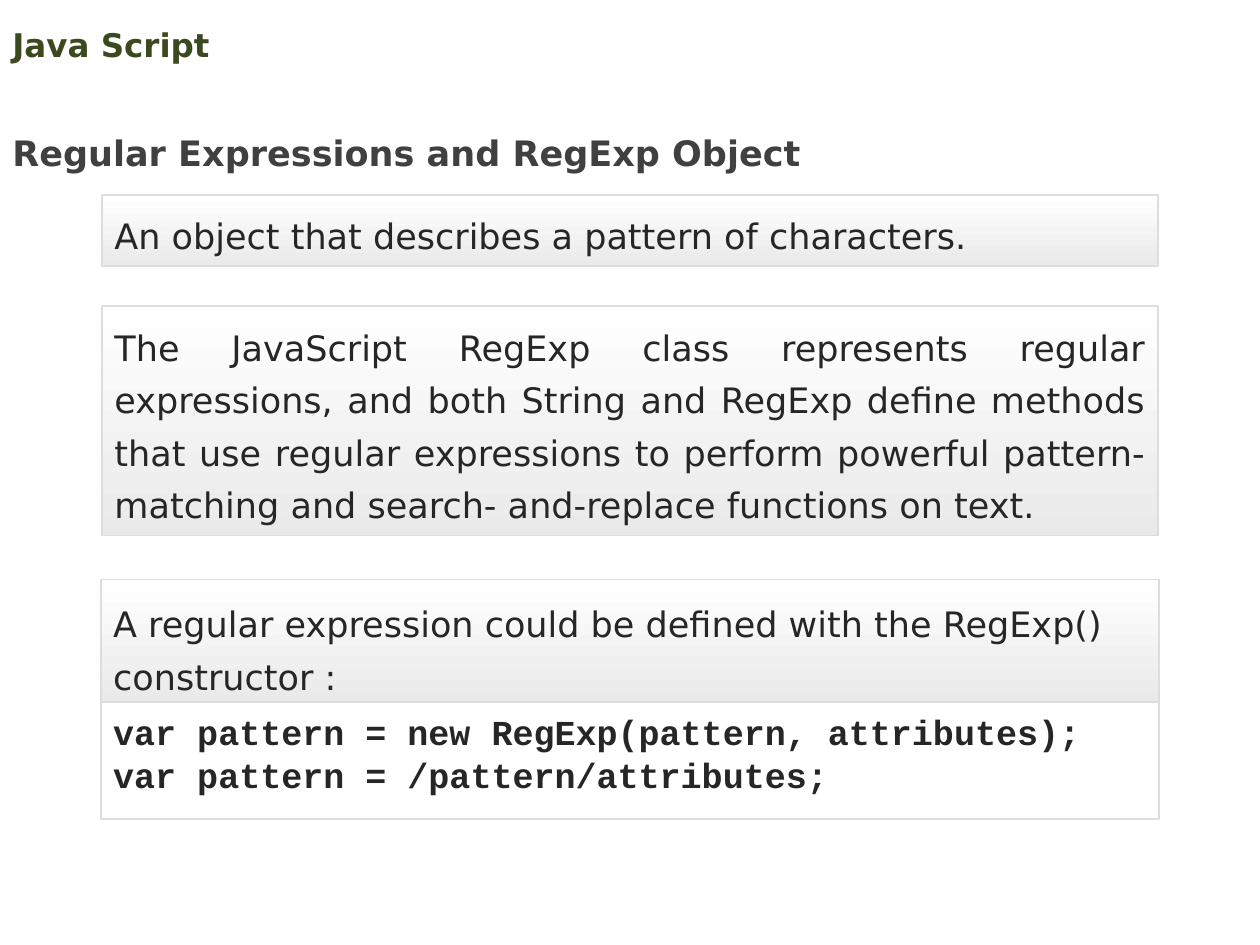
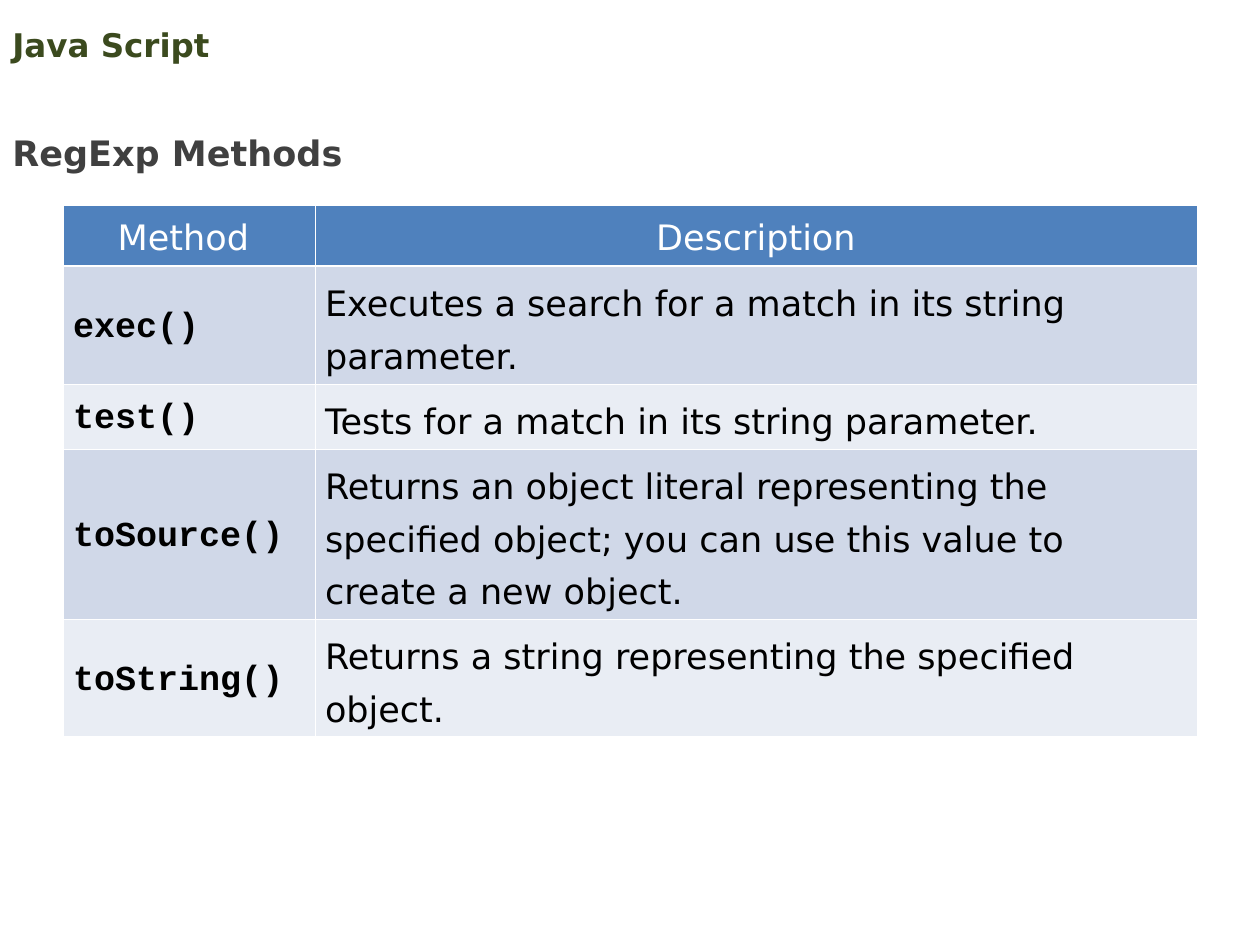
from dataclasses import dataclass

from lxml import etree
from pptx import Presentation, util as u
from pptx.dml.color import RGBColor
from pptx.enum import shapes, text
from pptx.oxml import ns

SANS, MONO = "DejaVu Sans", "Courier New"
GREEN, GREY, INK, BLACK, WHITE = "3B4A1E", "404040", "262626", "000000", "FFFFFF"
PANEL_END, PANEL_LINE = "EAEAEA", "DDDDDD"
HEADER_FILL, BAND_FILLS = "4F81BD", ("D0D8E8", "E9EDF4")
COLUMN = ROW = u.Inches(0.1)
BODY_SIZE, BODY_SPACING, CODE_SPACING = 20, u.Pt(30), u.Pt(25)
LEFT, CENTER, JUSTIFY = text.PP_ALIGN.LEFT, text.PP_ALIGN.CENTER, text.PP_ALIGN.JUSTIFY
TOP, MIDDLE = text.MSO_ANCHOR.TOP, text.MSO_ANCHOR.MIDDLE

METHODS = [
    ("exec()", "Executes a search for a match in its string parameter."),
    ("test()", "Tests for a match in its string parameter."),
    ("toSource()", "Returns an object literal representing the specified object; "
                   "you can use this value to create a new object."),
    ("toString()", "Returns a string representing the specified object."),
]
METHOD_ROWS = (4.1, 8.3, 4.2, 12.5, 8.3)


@dataclass
class Box:
    left: float
    top: float
    width: float
    height: float

    def inner(self, left, top, width, height):
        return Box(self.left + left, self.top + top, width, height)

    def lengths(self):
        return (int(self.left * COLUMN), int(self.top * ROW),
                int(self.width * COLUMN), int(self.height * ROW))


PAGE = Box(0, 0, 100, 75)


def color(value):
    return RGBColor.from_string(value)


def write(frame, lines, ink, font=SANS, size=BODY_SIZE, bold=False, align=LEFT, spacing=1.0):
    for index, line in enumerate(lines):
        paragraph = frame.add_paragraph() if index else frame.paragraphs[0]
        paragraph.text = line
        paragraph.alignment = align
        paragraph.line_spacing = spacing
        paragraph.font.name = font
        paragraph.font.size = u.Pt(size)
        paragraph.font.bold = bold
        paragraph.font.color.rgb = color(ink)


def add_heading(slide, box, line, ink, anchor=TOP, **style):
    frame = slide.shapes.add_textbox(*box.lengths()).text_frame
    frame.word_wrap = True
    frame.vertical_anchor = anchor
    write(frame, [line], ink, bold=True, **style)


def add_panel(slide, box, lines, shaded=True, anchor=MIDDLE, **style):
    panel = slide.shapes.add_shape(shapes.MSO_SHAPE.RECTANGLE, *box.lengths())
    panel.shadow.inherit = False
    panel.line.color.rgb = color(PANEL_LINE)
    panel.line.width = u.Pt(1)
    if shaded:
        panel.fill.gradient()
        panel.fill.gradient_angle = 270
        for stop, value in zip(panel.fill.gradient_stops, (WHITE, PANEL_END)):
            stop.color.rgb = color(value)
    else:
        panel.fill.background()
    frame = panel.text_frame
    frame.word_wrap = True
    frame.vertical_anchor = anchor
    frame.margin_left = frame.margin_right = frame.margin_top = frame.margin_bottom = COLUMN
    write(frame, lines, INK, **style)


def add_borders(cell, top=0.45, bottom=0.45):
    properties = cell._tc.get_or_add_tcPr()
    widths = {"a:lnL": 0.45, "a:lnR": 0.45, "a:lnT": top, "a:lnB": bottom}
    for position, (tag, width) in enumerate(widths.items()):
        line = etree.Element(ns.qn(tag), w=str(int(u.Pt(width))))
        fill = etree.SubElement(line, ns.qn("a:solidFill"))
        etree.SubElement(fill, ns.qn("a:srgbClr"), val=WHITE)
        properties.insert(position, line)


def fill_cell(cell, line, fill, ink, anchor=MIDDLE, **style):
    cell.fill.solid()
    cell.fill.fore_color.rgb = color(fill)
    cell.vertical_anchor = anchor
    cell.margin_left = cell.margin_right = u.Inches(0.08)
    cell.margin_top = cell.margin_bottom = u.Inches(0.05)
    write(cell.text_frame, [line], ink, **style)


def add_method_table(slide, box):
    table = slide.shapes.add_table(len(METHOD_ROWS), 2, *box.lengths()).table
    for column, share in zip(table.columns, (2 / 9, 7 / 9)):
        column.width = int(box.width * share * COLUMN)
    for row, height in zip(table.rows, METHOD_ROWS):
        row.height = int(height * ROW)
    for column, label in enumerate(("Method ", "Description")):
        cell = table.cell(0, column)
        fill_cell(cell, label, HEADER_FILL, WHITE, anchor=TOP, align=CENTER, spacing=1.15)
        add_borders(cell, bottom=1.47)
    for index, (method, description) in enumerate(METHODS, 1):
        fill = BAND_FILLS[(index - 1) % 2]
        name_cell, description_cell = table.cell(index, 0), table.cell(index, 1)
        fill_cell(name_cell, method, fill, BLACK, font=MONO, bold=True, spacing=1.15)
        fill_cell(description_cell, description, fill, BLACK, spacing=BODY_SPACING)
        for cell in (name_cell, description_cell):
            add_borders(cell, top=1.47 if index == 1 else 0.45)


def add_titled_slide(presentation, title):
    slide = presentation.slides.add_slide(presentation.slide_layouts[6])
    add_heading(slide, PAGE.inner(0, 1.4, 90, 4.3), "Java Script", GREEN, anchor=MIDDLE, size=18.6)
    add_heading(slide, PAGE.inner(0, 8.3, 84.4, 6), title, GREY, spacing=1.5)
    return slide


def add_constructor_example(slide, box):
    add_panel(slide, box.inner(0, 8.4, box.width, 10.6),
              ["var pattern = new RegExp(pattern, attributes);", "var pattern = /pattern/attributes;"],
              shaded=False, font=MONO, bold=True, align=JUSTIFY, spacing=CODE_SPACING)
    add_panel(slide, box.inner(0, 0, box.width, 9.7),
              ["A regular expression could be defined with the RegExp() constructor :"],
              anchor=TOP, spacing=BODY_SPACING)


def add_overview_slide(presentation):
    slide = add_titled_slide(presentation, "Regular Expressions and RegExp Object")
    body = PAGE.inner(8.1, 15.5, 83.8, 49.5)
    add_panel(slide, body.inner(0, 0, body.width, 5.6),
              ["An object that describes a pattern of characters."],
              align=JUSTIFY, spacing=BODY_SPACING)
    add_panel(slide, body.inner(0, 8.8, body.width, 18.2),
              ["The JavaScript RegExp class represents regular expressions, and both String and "
               "RegExp define methods that use regular expressions to perform powerful "
               "pattern-matching and search- and-replace functions on text."],
              align=JUSTIFY, spacing=BODY_SPACING)
    add_constructor_example(slide, PAGE.inner(8, 46, 84, 19))


def add_methods_slide(presentation):
    slide = add_titled_slide(presentation, "RegExp Methods")
    add_method_table(slide, PAGE.inner(5, 16.3, 90, sum(METHOD_ROWS)))


def main():
    presentation = Presentation()
    presentation.slide_width = int(PAGE.width * COLUMN)
    presentation.slide_height = int(PAGE.height * ROW)
    add_overview_slide(presentation)
    add_methods_slide(presentation)
    presentation.save("out.pptx")


if __name__ == "__main__":
    main()
